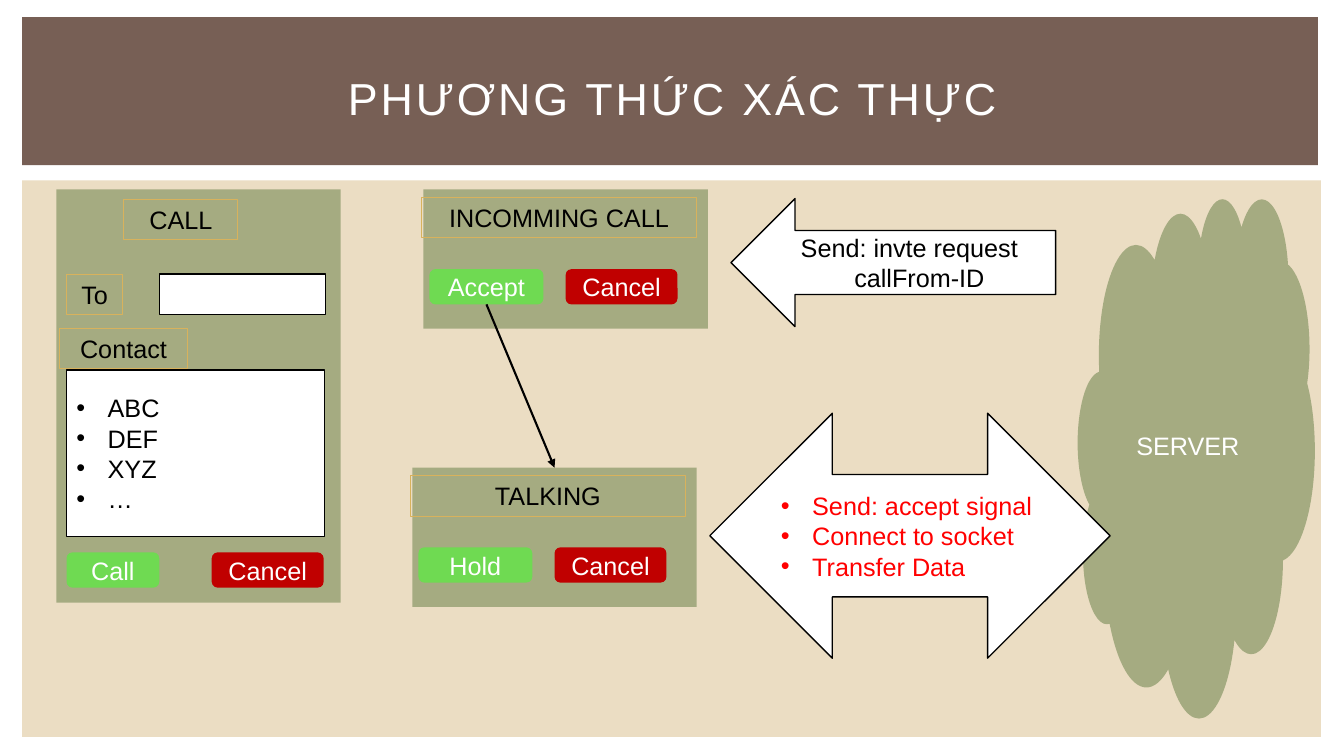
from lxml.etree import SubElement
from pptx import Presentation
from pptx.dml.color import RGBColor
from pptx.enum.shapes import MSO_CONNECTOR, MSO_SHAPE as Shape
from pptx.enum.text import MSO_ANCHOR as Anchor, PP_ALIGN as Align
from pptx.oxml.ns import qn
from pptx.util import Inches, Pt

COLORS = {
    "sand": "EBDDC3", "brown": "775F55", "olive": "A5AB81", "gold": "D8B25C",
    "green": "6FDA52", "darkred": "C00000", "red": "FF0000",
    "white": "FFFFFF", "black": "000000",
}
BOTTOM, TOP = 2, 0  # connection sites of a rectangle


def rgb(name):
    return RGBColor.from_string(COLORS[name])


def add_text(part, text, color="black", size=18, align=Align.CENTER,
             bullets=False, wrap=True, spacing=0, indents=()):
    """Write one paragraph per line of text into a shape."""
    frame = part.text_frame
    frame.word_wrap = wrap
    frame.vertical_anchor = Anchor.MIDDLE
    frame.text = text
    for number, paragraph in enumerate(frame.paragraphs):
        paragraph.alignment = Align.LEFT if bullets else align
        run = paragraph.runs[0]
        run.font.name, run.font.size = "Arial", Pt(size)
        run.font.color.rgb = rgb(color)
        if spacing:
            run.font._element.set("spc", str(spacing * 100))
        props = paragraph._p.get_or_add_pPr()
        if bullets:
            props.set("marL", str(Inches(0.31)))
            props.set("indent", str(-Inches(0.31)))
            SubElement(props, qn("a:buFont"), typeface="Arial")
            SubElement(props, qn("a:buChar"), char="•")
        elif indents:
            props.set("marL", str(Inches(indents[number])))


def add_part(slide, kind, box, fill=None, line=None, weight=1, text="", **style):
    part = slide.shapes.add_shape(kind, *map(Inches, box))
    part.shadow.inherit = False
    if fill:
        part.fill.solid()
        part.fill.fore_color.rgb = rgb(fill)
    else:
        part.fill.background()
    if line:
        part.line.color.rgb = rgb(line)
        part.line.width = Pt(weight)
    else:
        part.line.fill.background()
    if text:
        add_text(part, text, **style)
    return part


def add_label(slide, box, text):
    return add_part(slide, Shape.RECTANGLE, box, line="gold", weight=0.75,
                    text=text, wrap=False)


def add_button(slide, box, text, fill):
    return add_part(slide, Shape.ROUNDED_RECTANGLE, box, fill, text=text,
                    color="white")


def add_backdrop(slide, left, top):
    add_part(slide, Shape.RECTANGLE, (left, top + 1.62, 12.88, 5.52), "sand")
    add_part(slide, Shape.RECTANGLE, (left, top, 12.85, 1.47), "brown")
    title = slide.shapes.add_textbox(
        *map(Inches, (left + 0.34, top + 0.22, 12.22, 1.15)))
    add_text(title, "PHƯƠNG THỨC XÁC THỰC", color="white", size=32, spacing=2)


def add_call_screen(slide, left, top):
    add_part(slide, Shape.RECTANGLE, (left, top, 2.82, 4.1), "olive")
    for x, y, width, text in ((0.67, 0.1, 1.13, "CALL"), (0.1, 0.84, 0.56, "To"),
                              (0.03, 1.38, 1.27, "Contact")):
        add_label(slide, (left + x, top + y, width, 0.4), text)
    # Number field and contact list
    add_part(slide, Shape.RECTANGLE, (left + 1.02, top + 0.84, 1.65, 0.4),
             "white", "black")
    add_part(slide, Shape.RECTANGLE, (left + 0.1, top + 1.79, 2.56, 1.65),
             "white", "black", text="ABC\nDEF\nXYZ\n…", bullets=True)
    add_button(slide, (left + 0.1, top + 3.6, 0.92, 0.35), "Call", "green")
    add_button(slide, (left + 1.54, top + 3.6, 1.11, 0.35), "Cancel", "darkred")


def add_status_screen(slide, left, top, heading, action):
    panel = add_part(slide, Shape.RECTANGLE, (left, top, 2.82, 1.38), "olive")
    add_label(slide, (left - 0.02, top + 0.08, 2.73, 0.4), heading)
    add_button(slide, (left + 1.41, top + 0.79, 1.11, 0.35), "Cancel", "darkred")
    button = add_button(slide, (left + 0.06, top + 0.79, 1.13, 0.35), action, "green")
    return panel, button


def add_accept_arrow(slide, button, panel):
    arrow = slide.shapes.add_connector(MSO_CONNECTOR.STRAIGHT, 0, 0, 0, 0)
    arrow.begin_connect(button, BOTTOM)
    arrow.end_connect(panel, TOP)
    arrow.line.color.rgb = rgb("black")
    arrow.line.width = Pt(1.5)
    SubElement(arrow.line._get_or_add_ln(), qn("a:tailEnd"), type="triangle")
    SubElement(arrow._element.spPr, qn("a:effectLst"))


def add_server_exchange(slide, left, top):
    add_part(slide, Shape.LEFT_ARROW, (left + 0.21, top + 0.01, 3.22, 1.27),
             "white", "black", text="Send: invte request\ncallFrom-ID",
             indents=(0, 0.2))
    add_part(slide, Shape.CLOUD, (left + 3.65, top, 2.35, 5.15), "olive",
             text="SERVER", color="white")
    add_part(slide, Shape.LEFT_RIGHT_ARROW, (left, top + 2.14, 3.97, 2.43),
             "white", "black", color="red", bullets=True,
             text="Send: accept signal\nConnect to socket\nTransfer Data")


deck = Presentation()
deck.slide_width, deck.slide_height = Inches(13.33), Inches(7.5)
slide = deck.slides.add_slide(deck.slide_layouts[6])

add_backdrop(slide, 0.22, 0.17)
add_call_screen(slide, 0.56, 1.88)
_, accept_button = add_status_screen(slide, 4.2, 1.88, "INCOMMING CALL", "Accept")
talking_panel, _ = add_status_screen(slide, 4.09, 4.64, "TALKING", "Hold")
add_accept_arrow(slide, accept_button, talking_panel)
add_server_exchange(slide, 7.04, 1.96)

deck.save("out.pptx")
